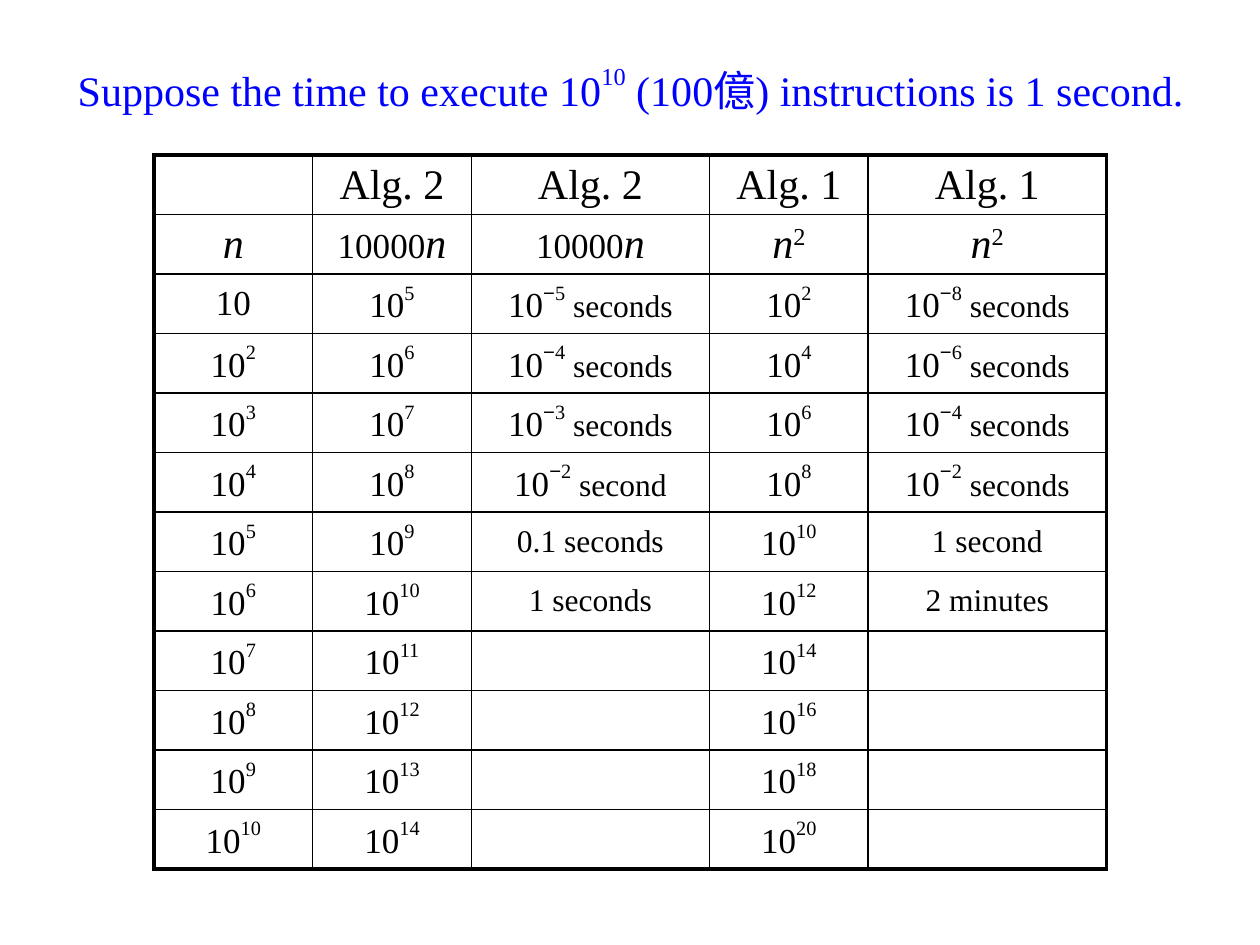
from lxml import etree
from pptx import Presentation
from pptx.dml.color import RGBColor
from pptx.enum import text
from pptx.oxml import ns
from pptx.util import Pt

BLACK = RGBColor(0, 0, 0)
BLUE = RGBColor(0, 0, 255)
SERIF, SANS = "Times New Roman", "Arial"
LARGE, MEDIUM, SMALL = 24, 20, 18
THICK, THIN = 2.25, 1

HEADLINE = [("Suppose the time to execute 10", {}), ("10", {"raised": 50}),
            (" (100億) instructions is 1 second.", {})]
ALGORITHMS = ["", "Alg. 2", "Alg. 2", "Alg. 1", "Alg. 1"]
LINEAR = [("10000", {"size": MEDIUM}), ("n", {"italic": True})]
SQUARE = [("n", {"italic": True}), ("2", {"raised": 30})]
FORMULAS = [[("n", {"italic": True})], LINEAR, LINEAR, SQUARE, SQUARE]
TIMES = [
    ((5, " seconds"), (8, " seconds")),
    ((4, " seconds"), (6, " seconds")),
    ((3, " seconds"), (4, " seconds")),
    ((2, " second"), (2, " seconds")),
    ("0.1 seconds", "1 second"),
    ("1 seconds", "2 minutes"),
    ("", ""), ("", ""), ("", ""), ("", ""),
]

TABLE_LEFT, TABLE_TOP = 88, 88.6
COLUMN_WIDTHS = [90.7, 90.7, 136.1, 90.7, 136.1]
ROW_HEIGHT = 34


def power(exponent):
    base = [("10", {"size": MEDIUM})]
    if exponent == 1:
        return base
    return base + [(str(exponent), {"size": MEDIUM, "raised": 50})]


def duration(time):
    if isinstance(time, str):
        return [(time, {"size": SMALL})] if time else []
    exponent, unit = time
    ten, digits = power(exponent) if exponent > 1 else (power(1)[0], None)
    minus = ("−", {"size": MEDIUM, "raised": 50, "face": SANS})
    return [ten, minus, digits, (unit, {"size": SMALL})]


def add_run(paragraph, words, color, size=LARGE, italic=False, raised=0, face=SERIF):
    run = paragraph.add_run()
    run.text = words
    run.font.size = Pt(size)
    run.font.name = face
    run.font.italic = italic
    run.font.color.rgb = color
    if raised:
        run.font._element.set("baseline", str(raised * 1000))


def add_border(cell, side, width):
    line = etree.SubElement(cell._tc.get_or_add_tcPr(), ns.qn("a:ln" + side), w=str(Pt(width)))
    fill = etree.SubElement(line, ns.qn("a:solidFill"))
    etree.SubElement(fill, ns.qn("a:srgbClr"), val=str(BLACK))


rows = [[[(name, {})] if name else [] for name in ALGORITHMS], FORMULAS]
for n, (linear_time, square_time) in enumerate(TIMES, 1):
    rows.append([power(n), power(n + 4), duration(linear_time),
                 power(2 * n), duration(square_time)])

deck = Presentation()
deck.slide_width, deck.slide_height = Pt(720), Pt(540)
slide = deck.slides.add_slide(deck.slide_layouts[6])

comparison = slide.shapes.add_table(
    len(rows), len(COLUMN_WIDTHS), Pt(TABLE_LEFT), Pt(TABLE_TOP),
    Pt(sum(COLUMN_WIDTHS)), Pt(ROW_HEIGHT * len(rows))).table
comparison.first_row = comparison.horz_banding = False
for column, width in zip(comparison.columns, COLUMN_WIDTHS):
    column.width = Pt(width)

last_row, last_column = len(rows) - 1, len(COLUMN_WIDTHS) - 1
for r, row in enumerate(rows):
    comparison.rows[r].height = Pt(ROW_HEIGHT)
    for c, runs in enumerate(row):
        cell = comparison.cell(r, c)
        cell.vertical_anchor = text.MSO_ANCHOR.MIDDLE
        cell.margin_top = cell.margin_bottom = Pt(1.4 if r < 2 else 3.6)
        edges = {"L": c == 0, "R": c == last_column, "T": r == 0, "B": r == last_row}
        for side, outer in edges.items():
            add_border(cell, side, THICK if outer else THIN)
        cell.fill.background()
        paragraph = cell.text_frame.paragraphs[0]
        paragraph.alignment = text.PP_ALIGN.CENTER
        for words, style in runs:
            add_run(paragraph, words, BLACK, **style)

headline = slide.shapes.add_textbox(Pt(31), Pt(31.7), Pt(657.4), Pt(33.8)).text_frame
headline.word_wrap = True
headline.margin_right = Pt(5.8)
paragraph = headline.paragraphs[0]
paragraph.alignment = text.PP_ALIGN.CENTER
paragraph.space_before = Pt(4.8)
for words, style in HEADLINE:
    add_run(paragraph, words, BLUE, **style)

deck.save("out.pptx")
